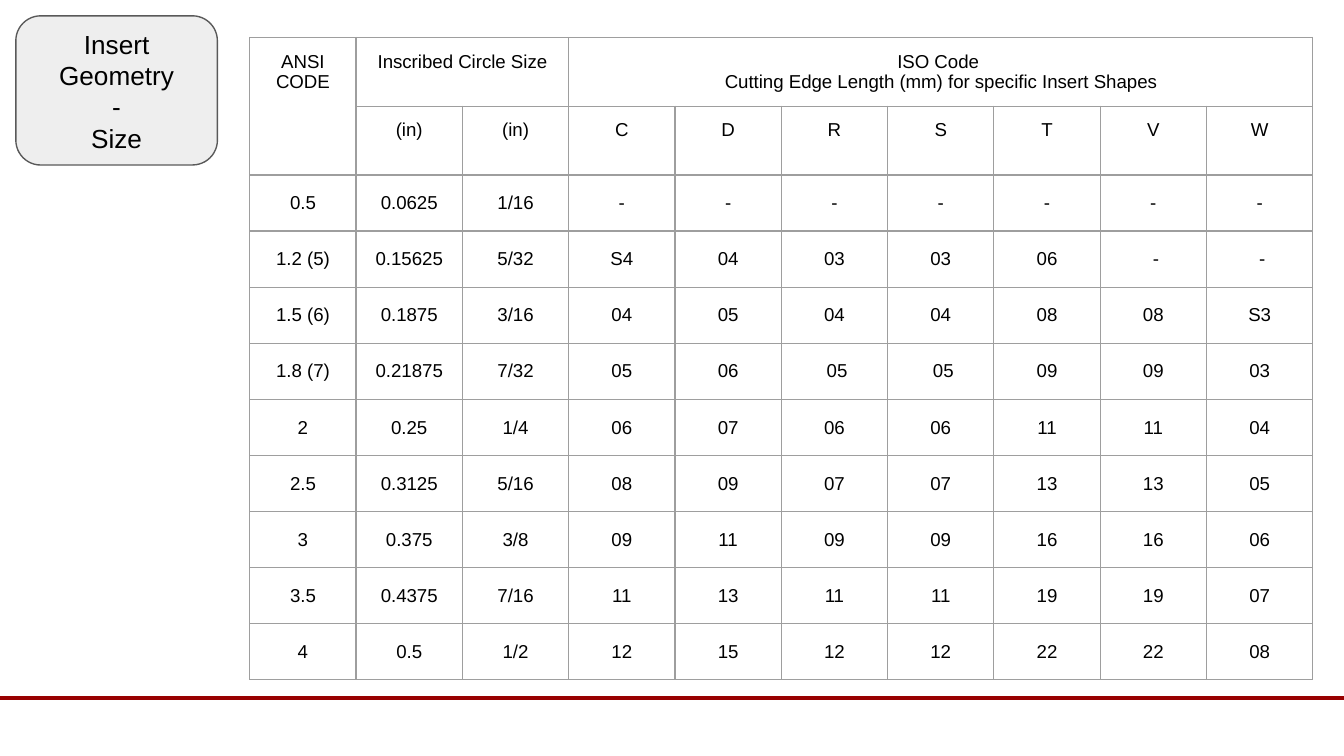
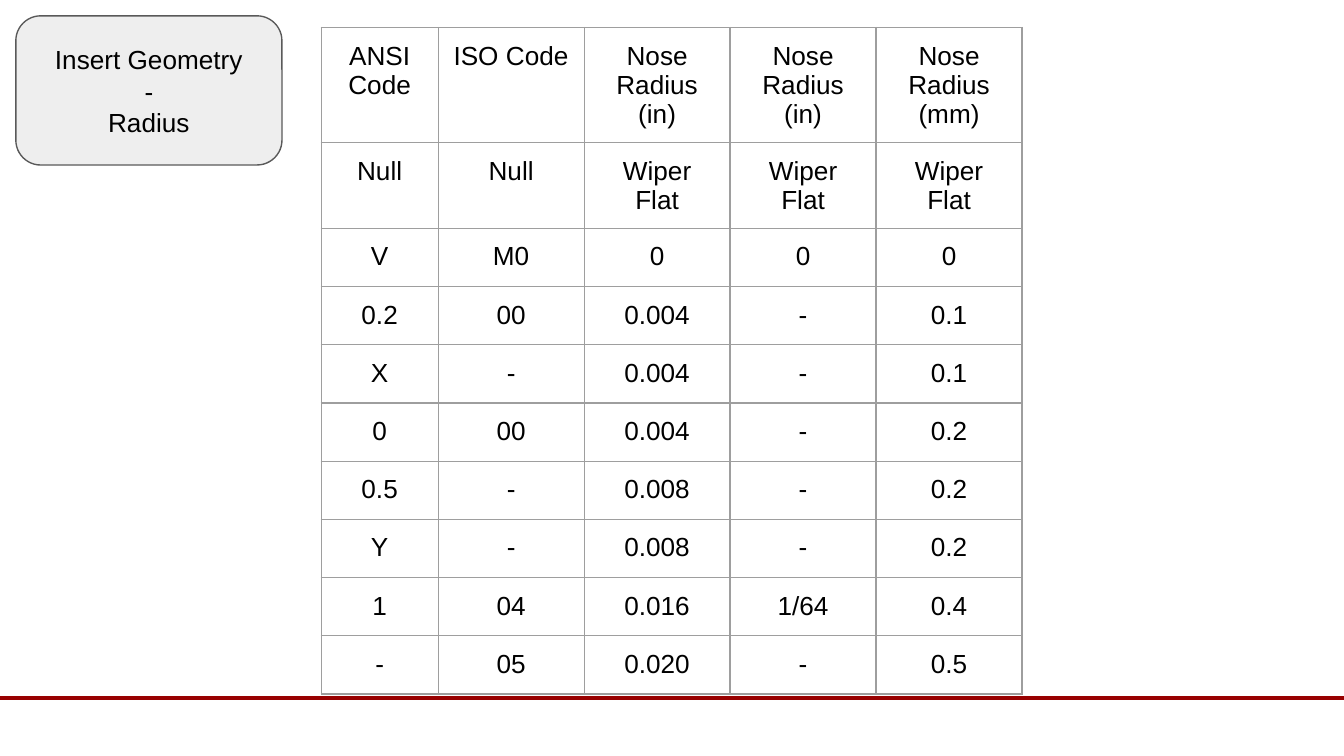
from pptx import Presentation
from pptx.dml.color import RGBColor
from pptx.enum.shapes import MSO_CONNECTOR as Connector, MSO_SHAPE as Shape
from pptx.enum.text import MSO_ANCHOR as Anchor, PP_ALIGN as Align
from pptx.oxml import parse_xml
from pptx.oxml.ns import nsdecls
from pptx.util import Cm, Pt

COLORS = {"title_fill": "EEEEEE", "title_line": "595959", "text": "000000",
          "grid": "9E9E9E", "rule": "980000"}
FONT = "Arial"
TITLE_SIZE = 14

SIZE_ROWS = [
    ["ANSI CODE", "Inscribed Circle Size", "",
     "ISO Code \nCutting Edge Length (mm) for specific Insert Shapes"] + [""] * 6,
    ["", "(in)", "(in)", "C", "D", "R", "S", "T", "V", "W"],
    ["0.5", "0.0625", "1/16", "-", "-", "-", "-", "-", "-", "-"],
    ["1.2 (5)", "0.15625", "5/32", "S4", "04", "03", "03", "06", " -", " -"],
    ["1.5 (6)", "0.1875", "3/16", "04", "05", "04", "04", "08", "08", "S3"],
    ["1.8 (7)", "0.21875", "7/32", "05", "06", " 05", " 05", "09", "09", "03"],
    ["2", "0.25", "1/4", "06", "07", "06", "06", "11", "11", "04"],
    ["2.5", "0.3125", "5/16", "08", "09", "07", "07", "13", "13", "05"],
    ["3", "0.375", "3/8", "09", "11", "09", "09", "16", "16", "06"],
    ["3.5", "0.4375", "7/16", "11", "13", "11", "11", "19", "19", "07"],
    ["4", "0.5", "1/2", "12", "15", "12", "12", "22", "22", "08"],
]
RADIUS_ROWS = [
    ["ANSI Code", "ISO Code", "Nose Radius (in)", "Nose Radius (in)", "Nose Radius (mm)"],
    ["Null", "Null", "Wiper Flat", "Wiper Flat", "Wiper Flat"],
    ["V", "M0", "0", "0", "0"],
    ["0.2", "00", "0.004", "-", "0.1"],
    ["X", "-", "0.004", "-", "0.1"],
    ["0", "00", "0.004", "-", "0.2"],
    ["0.5", "-", "0.008", "-", "0.2"],
    ["Y", "-", "0.008", "-", "0.2"],
    ["1", "04", "0.016", "1/64", "0.4"],
    ["-", "05", "0.020", "-", "0.5"],
]

# Lengths in cm; a merge is (first row, first column, last row, last column).
SLIDES = [
    {"title": "Insert Geometry\n-\nSize", "title_width": 3.81,
     "rows": SIZE_ROWS, "at": (4.72, 0.71), "font_size": 10,
     "widths": [2.01] * 10, "heights": [1.06] * 11, "middle_from": 2,
     "merges": [(0, 0, 1, 0), (0, 1, 0, 2), (0, 3, 0, 9)]},
    {"title": "Insert Geometry\n-\nRadius", "title_width": 5.03,
     "rows": RADIUS_ROWS, "at": (6.07, 0.52), "font_size": 14,
     "widths": [2.21] + [2.76] * 4, "heights": [1.88] + [1.1] * 9,
     "middle_from": len(RADIUS_ROWS), "merges": []},
]


def color(name):
    return RGBColor.from_string(COLORS[name])


def write(frame, text, size):
    """Put each line of text in its own centred paragraph."""
    for index, line in enumerate(text.split("\n")):
        para = frame.paragraphs[0] if index == 0 else frame.add_paragraph()
        para.alignment = Align.CENTER
        para.font.size = Pt(size)
        if line:
            span = para.add_run()
            span.text = line
            span.font.name = FONT
            span.font.size = Pt(size)
            span.font.color.rgb = color("text")


def set_insets(target):
    target.margin_left = target.margin_right = target.margin_top = Cm(0.26)
    target.margin_bottom = Cm(0.25)


def add_rule(page):
    rule = page.shapes.add_connector(Connector.STRAIGHT, Cm(-0.03), Cm(13.19),
                                     Cm(25.45), Cm(13.19))
    rule.line.color.rgb = color("rule")
    rule.line.width = Pt(2.25)
    rule._element.spPr.append(parse_xml(f"<a:effectLst {nsdecls('a')}/>"))


def add_title(page, text, width):
    box = page.shapes.add_shape(Shape.ROUNDED_RECTANGLE, Cm(0.3), Cm(0.3),
                                Cm(width), Cm(2.82))
    box.shadow.inherit = False
    box.fill.solid()
    box.fill.fore_color.rgb = color("title_fill")
    box.line.color.rgb = color("title_line")
    box.line.width = Pt(0.75)
    frame = box.text_frame
    frame.word_wrap = True
    frame.vertical_anchor = Anchor.MIDDLE
    set_insets(frame)
    write(frame, text, TITLE_SIZE)


def add_borders(cell):
    properties = cell._tc.get_or_add_tcPr()
    for index, side in enumerate(("lnL", "lnR", "lnT", "lnB")):
        properties.insert(index, parse_xml(
            f'<a:{side} {nsdecls("a")} w="{Pt(0.75)}"><a:solidFill>'
            f'<a:srgbClr val="{COLORS["grid"]}"/></a:solidFill></a:{side}>'))


def add_grid(page, content):
    rows, widths, heights = content["rows"], content["widths"], content["heights"]
    left, top = content["at"]
    table = page.shapes.add_table(len(rows), len(widths), Cm(left), Cm(top),
                                  Cm(sum(widths)), Cm(sum(heights))).table
    table.first_row = table.horz_banding = False
    for column, width in zip(table.columns, widths):
        column.width = Cm(width)
    for row, height in zip(table.rows, heights):
        row.height = Cm(height)
    for r, values in enumerate(rows):
        for c, value in enumerate(values):
            cell = table.cell(r, c)
            set_insets(cell)
            cell.vertical_anchor = Anchor.MIDDLE if r >= content["middle_from"] else Anchor.TOP
            cell.fill.background()
            add_borders(cell)
            write(cell.text_frame, value, content["font_size"])
    for r1, c1, r2, c2 in content["merges"]:
        table.cell(r1, c1).merge(table.cell(r2, c2))


def main():
    deck = Presentation()
    deck.slide_width, deck.slide_height = Cm(25.4), Cm(14.29)
    for content in SLIDES:
        page = deck.slides.add_slide(deck.slide_layouts[6])
        add_rule(page)
        add_title(page, content["title"], content["title_width"])
        add_grid(page, content)
    deck.save("out.pptx")


if __name__ == "__main__":
    main()
